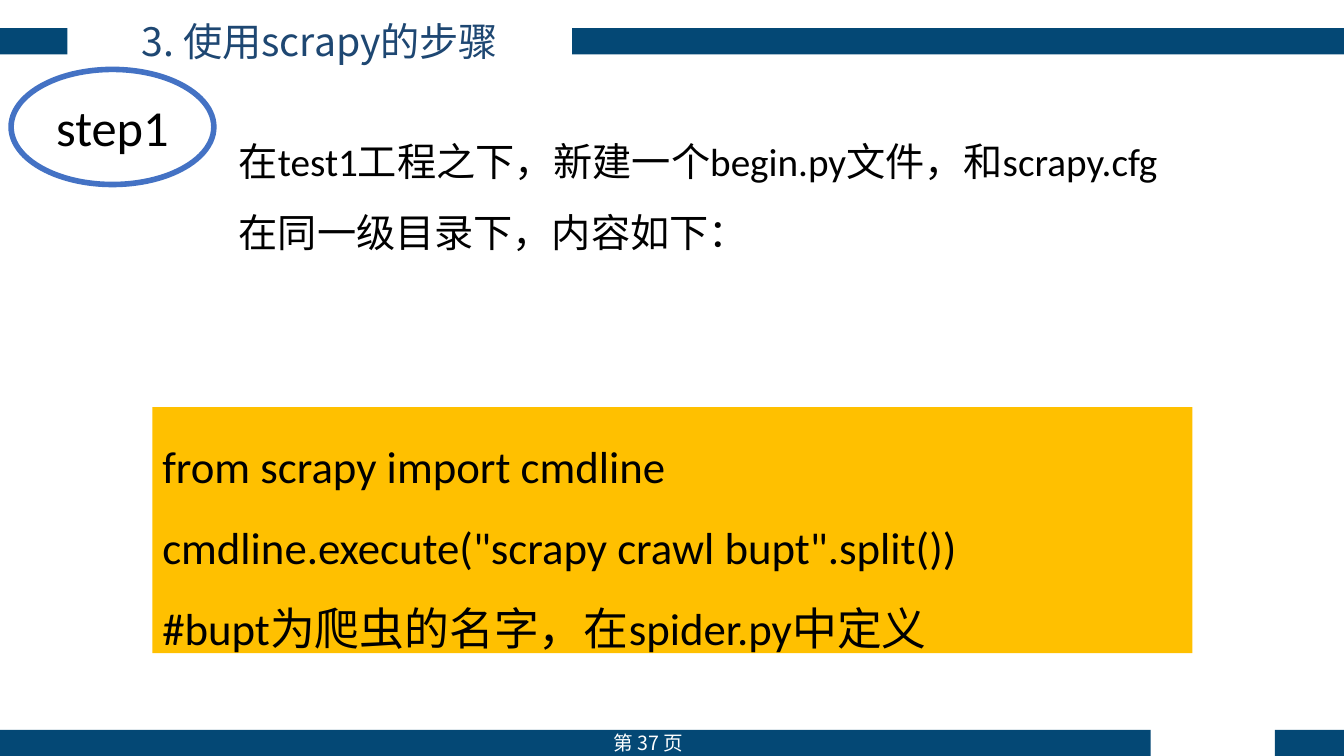
from pptx import Presentation
from pptx.dml.color import RGBColor
from pptx.enum.shapes import MSO_SHAPE as SHAPE
from pptx.enum.text import MSO_ANCHOR as ANCHOR, MSO_AUTO_SIZE as AUTO, PP_ALIGN as ALIGN
from pptx.oxml.ns import qn
from pptx.util import Cm, Pt
from lxml import etree

CJK = "Noto Sans CJK SC"
LATIN = "Calibri"
NAVY, TITLE_BLUE, RING_BLUE = "044875", "1E4772", "4472C4"
AMBER, WHITE, BLACK = "FFC000", "FFFFFF", "000000"


def rgb(value):
    return RGBColor.from_string(value)


def write(sp, lines, size, color=BLACK, font=LATIN, align=ALIGN.LEFT,
          anchor=ANCHOR.TOP, spacing=1.0, inset_y=0.25):
    tf = sp.text_frame
    tf.word_wrap = True
    tf.auto_size = AUTO.NONE
    tf.vertical_anchor = anchor
    tf.margin_left = tf.margin_right = Cm(0.25)
    tf.margin_top = tf.margin_bottom = Cm(inset_y)
    for i, line in enumerate(lines):
        p = tf.paragraphs[0] if i == 0 else tf.add_paragraph()
        p.alignment = align
        p.line_spacing = spacing
        r = p.add_run()
        r.text = line
        r.font.size = Pt(size)
        r.font.name = font
        r.font.color.rgb = rgb(color)
        etree.SubElement(r.font._element, qn("a:ea")).set("typeface", CJK)


def add_shape(s, kind, box, fill, line=None, width=0):
    sp = s.shapes.add_shape(kind, *map(Cm, box))
    sp.shadow.inherit = False
    sp.fill.solid()
    sp.fill.fore_color.rgb = rgb(fill)
    if line:
        sp.line.color.rgb = rgb(line)
        sp.line.width = Pt(width)
    else:
        sp.line.fill.background()
    return sp


def add_text(s, box, lines, size, **style):
    write(s.shapes.add_textbox(*map(Cm, box)), lines, size, **style)


def add_title(s, box, text):
    sp = s.shapes.title
    sp.left, sp.top, sp.width, sp.height = map(Cm, box)
    write(sp, [text], 28, color=TITLE_BLUE, font=CJK, align=ALIGN.CENTER,
          anchor=ANCHOR.MIDDLE, inset_y=0.13)


def add_bands(s):
    """Draw the header and footer bands, each with a gap in it."""
    for left, top, width in ((0, 0.71, 1.7), (14.42, 0.71, 19.45),
                             (32.13, 18.39, 1.74), (0, 18.39, 29)):
        add_shape(s, SHAPE.RECTANGLE, (left, top, width, 0.66), NAVY)


def main():
    prs = Presentation()
    prs.slide_width, prs.slide_height = Cm(33.87), Cm(19.05)
    s = prs.slides.add_slide(prs.slide_layouts[5])
    add_bands(s)
    add_text(s, (14.73, 18.29, 3.23, 0.86), ["第 37 页"], 14, color=WHITE,
             font=CJK, align=ALIGN.CENTER, inset_y=0.13)
    add_title(s, (1.7, 0.3, 12.73, 1.45), "3. 使用scrapy的步骤")
    add_text(s, (5.77, 2.62, 24.28, 6.5),
             ["在test1工程之下，新建一个begin.py文件，和scrapy.cfg在同一级目录下，内容如下："],
             28, spacing=1.5)
    code = add_shape(s, SHAPE.RECTANGLE, (3.84, 10.26, 26.21, 6.2), AMBER)
    write(code, ["from scrapy import cmdline",
                 'cmdline.execute("scrapy crawl bupt".split())',
                 "#bupt为爬虫的名字，在spider.py中定义"],
          32, spacing=1.5, inset_y=0.13)
    step = add_shape(s, SHAPE.OVAL, (0.28, 1.75, 5.11, 2.9), WHITE, RING_BLUE, 4)
    write(step, ["step1"], 36, align=ALIGN.CENTER)
    prs.save("out.pptx")


if __name__ == "__main__":
    main()
